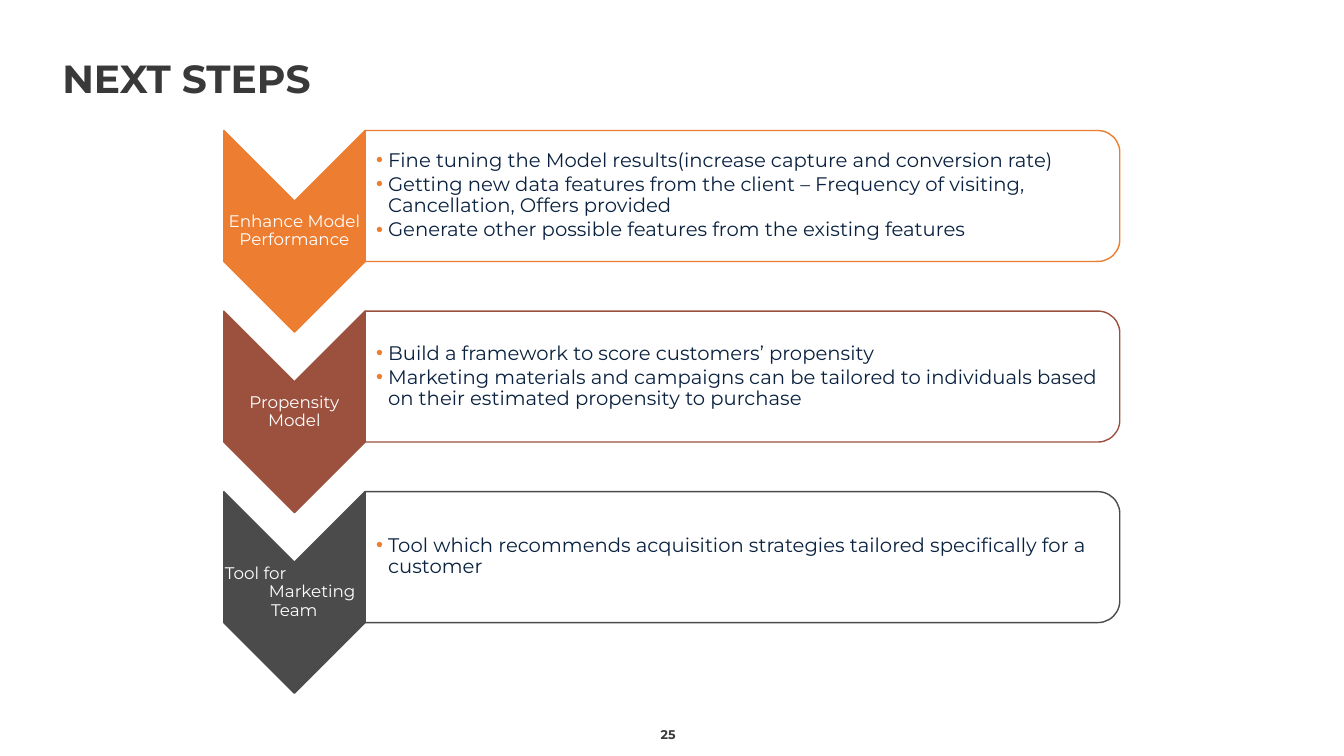
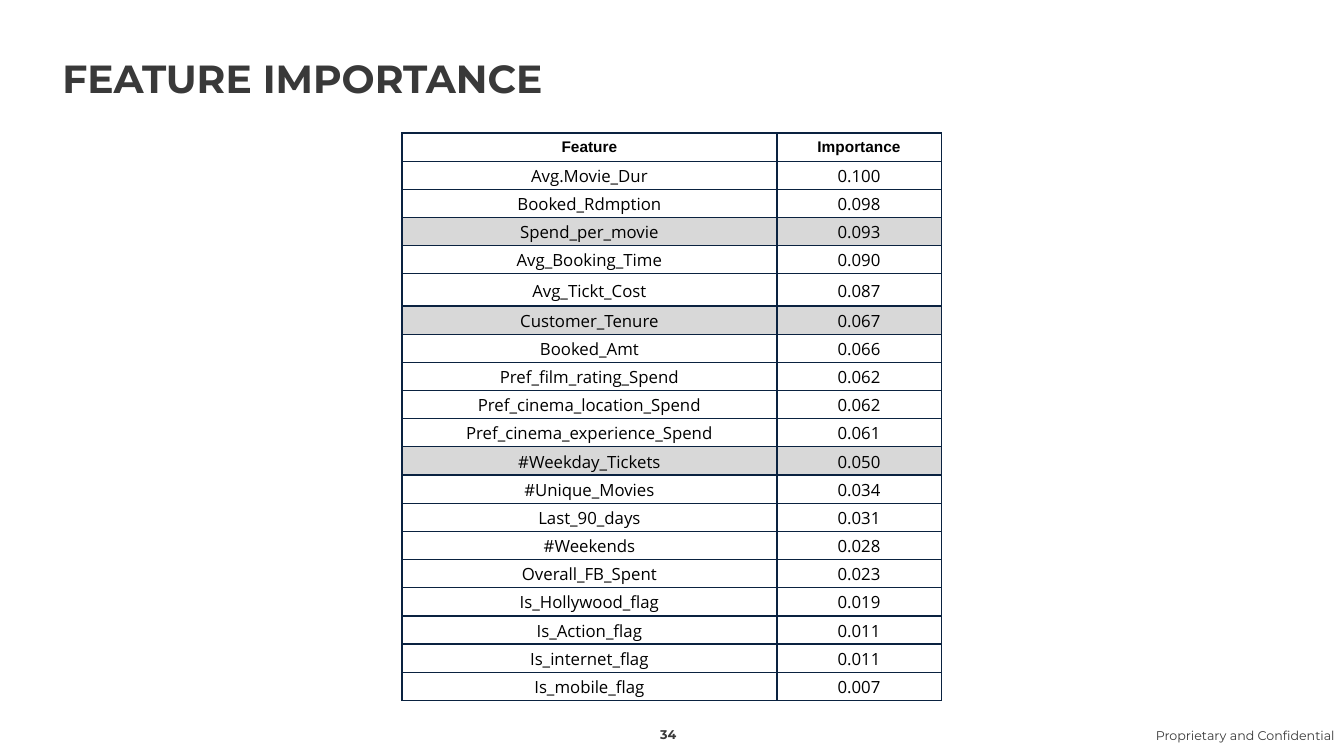
from dataclasses import dataclass

from lxml import etree
from pptx import Presentation, util as u
from pptx.dml.color import RGBColor
from pptx.enum import shapes, text
from pptx.oxml import ns

INK = RGBColor(0x39, 0x39, 0x39)
NAVY = RGBColor(0x0A, 0x22, 0x40)
ORANGE = RGBColor(0xED, 0x7D, 0x31)
RUST = RGBColor(0x9B, 0x51, 0x3E)
SLATE = RGBColor(0x4B, 0x4B, 0x4B)
GREY = RGBColor(0xD8, 0xD8, 0xD8)
WHITE = RGBColor(0xFF, 0xFF, 0xFF)
BLACK = RGBColor(0, 0, 0)

FONT = "Montserrat"
LEFT = text.PP_ALIGN.LEFT
MID = text.PP_ALIGN.CENTER
RIGHT = text.PP_ALIGN.RIGHT
TOP = text.MSO_ANCHOR.TOP
CENTER = text.MSO_ANCHOR.MIDDLE
BASE = text.MSO_ANCHOR.BOTTOM
PAD = (0.25, 0.13, 0.25, 0.13)
THIN = (0.03, 0.03, 0.03, 0.03)

STEP_TOP, PITCH = 3.29, 4.55
ARROW_X, ARROW_W, ARROW_H = 5.64, 3.56, 5.08
PANEL_X, PANEL_W, PANEL_H = 9.2, 19.02, 3.3


@dataclass
class Label:
    words: str
    align: text.PP_ALIGN = MID
    indent: float = 0


@dataclass
class Step:
    color: RGBColor
    labels: list[Label]
    points: list[str]


@dataclass
class Row:
    name: str
    score: str
    shade: bool = False
    height: float = 0.71


STEPS = [
    Step(ORANGE, [Label("Enhance Model Performance")], [
        "Fine tuning the Model results(increase capture and conversion rate)",
        "Getting new data features from the client – Frequency of visiting, "
        "Cancellation, Offers provided",
        "Generate other possible features from the existing features",
    ]),
    Step(RUST, [Label("Propensity Model")], [
        "Build a framework to score customers’ propensity",
        "Marketing materials and campaigns can be tailored to individuals based "
        "on their estimated propensity to purchase",
    ]),
    Step(SLATE, [Label("Tool for", LEFT), Label("Marketing", MID, 0.9), Label("Team")], [
        "Tool which recommends acquisition strategies tailored specifically for a customer",
    ]),
]

ROWS = [
    Row("Feature", "Importance"),
    Row("Avg.Movie_Dur", "0.100"),
    Row("Booked_Rdmption", "0.098"),
    Row("Spend_per_movie", "0.093", shade=True),
    Row("Avg_Booking_Time", "0.090"),
    Row("Avg_Tickt_Cost", "0.087", height=0.81),
    Row("Customer_Tenure", "0.067", shade=True),
    Row("Booked_Amt", "0.066"),
    Row("Pref_film_rating_Spend", "0.062"),
    Row("Pref_cinema_location_Spend", "0.062"),
    Row("Pref_cinema_experience_Spend", "0.061"),
    Row("#Weekday_Tickets", "0.050", shade=True),
    Row("#Unique_Movies", "0.034"),
    Row("Last_90_days", "0.031"),
    Row("#Weekends", "0.028"),
    Row("Overall_FB_Spent", "0.023"),
    Row("Is_Hollywood_flag", "0.019"),
    Row("Is_Action_flag", "0.011"),
    Row("Is_internet_flag", "0.011"),
    Row("Is_mobile_flag", "0.007"),
]


def write(frame, words: str, *, size: float, color: RGBColor = INK, font: str = FONT,
          bold: bool = False, align: text.PP_ALIGN = LEFT, line: float = 1.0,
          before: float = 0, indent: float = 0, bullet: RGBColor | None = None) -> None:
    para = frame.paragraphs[0]
    if para.runs:
        para = frame.add_paragraph()
    para.alignment = align
    para.line_spacing = line
    para.space_before = u.Pt(before)
    run = para.add_run()
    run.text = words
    run.font.size = u.Pt(size)
    run.font.name = font
    run.font.bold = bold
    run.font.color.rgb = color
    props = para._p.get_or_add_pPr()
    if indent:
        props.set("marL", str(u.Cm(indent)))
    if bullet is not None:
        props.set("indent", str(-u.Cm(indent)))
        tint = etree.SubElement(props, ns.qn("a:buClr"))
        etree.SubElement(tint, ns.qn("a:srgbClr"), val=str(bullet))
        etree.SubElement(props, ns.qn("a:buFont"), typeface="Arial")
        etree.SubElement(props, ns.qn("a:buChar"), char="•")


def inset(part, pad: tuple[float, ...]) -> None:
    part.margin_left, part.margin_top, part.margin_right, part.margin_bottom = map(u.Cm, pad)


def box(slide, x: float, y: float, wide: float, high: float, *,
        pad: tuple[float, ...] = PAD, anchor: text.MSO_ANCHOR = CENTER):
    frame = slide.shapes.add_textbox(u.Cm(x), u.Cm(y), u.Cm(wide), u.Cm(high)).text_frame
    frame.word_wrap = True
    frame.vertical_anchor = anchor
    inset(frame, pad)
    return frame


def turn(slide, kind: shapes.MSO_SHAPE, x: float, y: float, wide: float, high: float, *,
         bends: tuple[float, ...], fill: RGBColor, edge: RGBColor) -> None:
    shift = (wide - high) / 2
    shape = slide.shapes.add_shape(
        kind, u.Cm(x + shift), u.Cm(y - shift), u.Cm(high), u.Cm(wide))
    shape.rotation = 90
    shape.shadow.inherit = False
    for index, bend in enumerate(bends):
        shape.adjustments[index] = bend
    shape.fill.solid()
    shape.fill.fore_color.rgb = fill
    shape.line.color.rgb = edge
    shape.line.width = u.Pt(1)


def start(deck, title: str, number: int):
    slide = deck.slides.add_slide(deck.slide_layouts[6])
    write(box(slide, 1.32, 0.28, 31.19, 2.41, anchor=BASE), title,
          size=28, bold=True, line=0.9)
    write(box(slide, 16.08, 18.11, 1.52, 0.71, anchor=BASE), str(number),
          size=9, bold=True, align=MID)
    return slide


def draw_step(slide, step: Step, y: float) -> None:
    turn(slide, shapes.MSO_SHAPE.CHEVRON, ARROW_X, y, ARROW_W, ARROW_H,
         bends=(0.5,), fill=step.color, edge=step.color)
    frame = box(slide, ARROW_X, y + 1.78, ARROW_W, 1.52, pad=THIN)
    for label in step.labels:
        write(frame, label.words, size=12, color=WHITE, align=label.align,
              line=0.9, indent=label.indent)
    turn(slide, shapes.MSO_SHAPE.ROUND_2_SAME_RECTANGLE, PANEL_X, y, PANEL_W, PANEL_H,
         bends=(0.167, 0), fill=WHITE, edge=step.color)
    frame = box(slide, PANEL_X, y + 0.16, 18.85, 2.97, pad=(0.28, 0.03, 0.03, 0.03))
    for index, point in enumerate(step.points):
        write(frame, point, size=14, color=NAVY, line=0.9, before=2.1 if index else 0,
              indent=0.3, bullet=ORANGE)


def rule(cell) -> None:
    props = cell._tc.get_or_add_tcPr()
    for side in ("lnL", "lnR", "lnT", "lnB"):
        line = etree.SubElement(props, ns.qn(f"a:{side}"), w=str(u.Pt(1)))
        fill = etree.SubElement(line, ns.qn("a:solidFill"))
        etree.SubElement(fill, ns.qn("a:srgbClr"), val=str(NAVY))


def draw_grid(slide, rows: list[Row]) -> None:
    widths = (9.45, 4.14)
    high = sum(row.height for row in rows)
    grid = slide.shapes.add_table(len(rows), len(widths), u.Cm(10.13), u.Cm(3.35),
                                  u.Cm(sum(widths)), u.Cm(high)).table
    grid.first_row = False
    grid.horz_banding = False
    for column, width in zip(grid.columns, widths):
        column.width = u.Cm(width)
    for index, row in enumerate(rows):
        grid.rows[index].height = u.Cm(row.height)
        head = index == 0
        for cell, words in zip(grid.rows[index].cells, (row.name, row.score)):
            rule(cell)
            cell.fill.solid()
            cell.fill.fore_color.rgb = GREY if row.shade else WHITE
            cell.vertical_anchor = CENTER
            inset(cell, (0.03, 0.03, 0.03, 0))
            write(cell.text_frame, words, size=11 if head else 12, color=BLACK,
                  font="Arial" if head else "Open Sans", bold=head, align=MID)


def main() -> None:
    deck = Presentation()
    deck.slide_width, deck.slide_height = u.Cm(33.87), u.Cm(19.05)

    slide = start(deck, "NEXT STEPS", 25)
    for index, step in enumerate(STEPS):
        draw_step(slide, step, STEP_TOP + index * PITCH)

    slide = start(deck, "FEATURE IMPORTANCE", 34)
    draw_grid(slide, ROWS)
    write(box(slide, 28.78, 18.21, 5.1, 0.71, anchor=TOP), "Proprietary and Confidential",
          size=9, align=RIGHT)

    deck.save("out.pptx")


if __name__ == "__main__":
    main()
